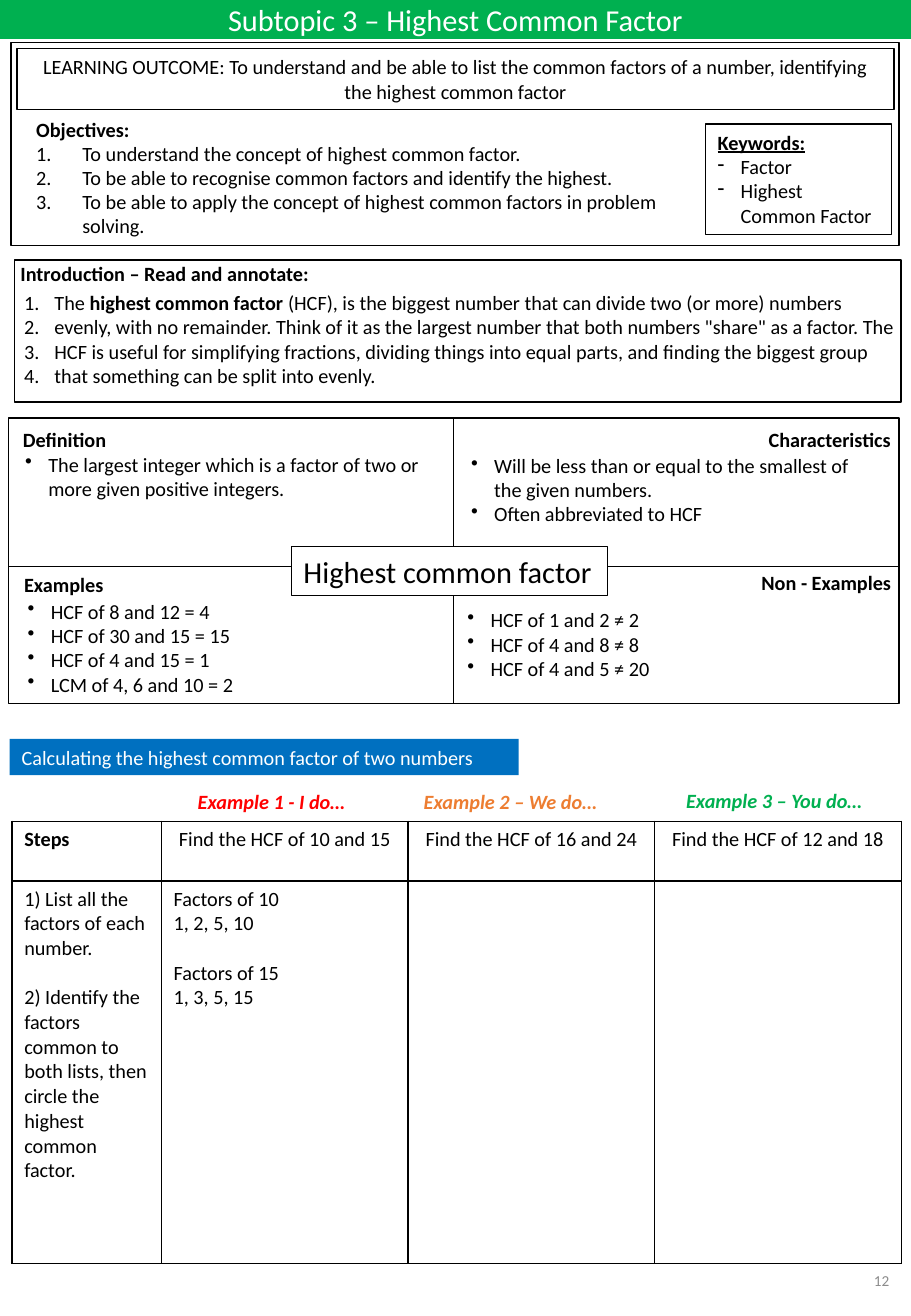
from lxml.etree import SubElement
from pptx import Presentation
from pptx.dml.color import RGBColor
from pptx.enum.shapes import MSO_CONNECTOR, MSO_SHAPE
from pptx.enum.text import MSO_ANCHOR, PP_ALIGN
from pptx.oxml.ns import qn
from pptx.util import Inches, Pt

BLACK = RGBColor(0, 0, 0)
WHITE = RGBColor(255, 255, 255)
GREEN = RGBColor(0, 176, 80)
BLUE = RGBColor(0, 112, 192)
RED = RGBColor(255, 0, 0)
ORANGE = RGBColor(237, 125, 49)
GREY = RGBColor(140, 140, 140)
LINE_HEIGHT = Pt(14.6)

deck = Presentation()
deck.slide_width, deck.slide_height = Inches(7.5), Inches(10.83)
page = deck.slides.add_slide(deck.slide_layouts[6])


def write(frame, lines, size=12, color=BLACK, bold=False, italic=False,
          align=PP_ALIGN.LEFT, bullet=None, indent=0.19):
    """Add one paragraph per line; bullet is a character, or "1." for numbers."""
    for line in lines:
        para = frame.add_paragraph() if frame.text else frame.paragraphs[0]
        para.alignment = align
        if bullet:
            props = para._p.get_or_add_pPr()
            props.set("marL", str(Inches(indent)))
            props.set("indent", str(-Inches(indent)))
            if bullet == "1.":
                SubElement(props, qn("a:buAutoNum"), type="arabicPeriod")
            else:
                SubElement(props, qn("a:buChar"), char=bullet)
        font = para.font
        font.name, font.size, font.bold, font.italic = "Calibri", Pt(size), bold, italic
        font.color.rgb = color
        # Text between asterisks is bold
        for number, part in enumerate(line.split("*")):
            span = para.add_run()
            span.text = part
            if number % 2:
                span.font.bold = True


def add_box(left, top, width, height, fill=None, line=None):
    """Add a rectangle with an optional fill colour and black outline width."""
    box = page.shapes.add_shape(MSO_SHAPE.RECTANGLE, Inches(left), Inches(top),
                                Inches(width), Inches(height))
    box.shadow.inherit = False
    if fill is None:
        box.fill.background()
    else:
        box.fill.solid()
        box.fill.fore_color.rgb = fill
    if line is None:
        box.line.fill.background()
    else:
        box.line.color.rgb = BLACK
        box.line.width = Pt(line)
    box.text_frame.word_wrap = True
    box.text_frame.vertical_anchor = MSO_ANCHOR.TOP
    return box


# Title bar
title = add_box(0, 0, 7.5, 0.32, fill=GREEN).text_frame
title.vertical_anchor = MSO_ANCHOR.MIDDLE
write(title, ["Subtopic 3 – Highest Common Factor"], 18, WHITE, align=PP_ALIGN.CENTER)

# Learning outcome and keywords
add_box(0.09, 0.35, 7.31, 1.67, line=1)
outcome = add_box(0.14, 0.4, 7.22, 0.5, line=0.75).text_frame
write(outcome, ["LEARNING OUTCOME: To understand and be able to list the common factors "
                "of a number, identifying the highest common factor"], align=PP_ALIGN.CENTER)
keywords = add_box(5.81, 1.02, 1.53, 0.91, line=1).text_frame
write(keywords, ["Keywords:"], bold=True)
keywords.paragraphs[0].font.underline = True
write(keywords, ["Factor", "Highest Common Factor"], bullet="-")

# Introduction frame
add_box(0.12, 2.14, 7.3, 1.17, line=1)

# Four-quadrant frame with its dividers and centre label
quadrants = add_box(0.07, 3.44, 7.33, 2.35, fill=WHITE, line=1)
across = page.shapes.add_connector(MSO_CONNECTOR.STRAIGHT, Inches(0.07), Inches(4.66),
                                   Inches(7.39), Inches(4.66))
down = page.shapes.add_connector(MSO_CONNECTOR.STRAIGHT, Inches(3.74), Inches(5.79),
                                 Inches(3.74), Inches(3.44))
down.begin_connect(quadrants, 2)
down.end_connect(quadrants, 0)
for divider in (across, down):
    divider.line.color.rgb = BLACK
    divider.line.width = Pt(0.5)
    SubElement(divider._element.spPr, qn("a:effectLst"))
label = add_box(2.4, 4.5, 2.6, 0.4, fill=WHITE, line=0.75).text_frame
label.word_wrap = False
write(label, ["Highest common factor"], 18)

# Headings: text, left, top, width, colour, italic
headings = [
    ("Objectives:", 0.2, 0.92, 1.53, BLACK, False),
    ("Introduction – Read and annotate:", 0.07, 2.1, 3.04, BLACK, False),
    ("Definition", 0.09, 3.47, 0.9, BLACK, False),
    ("Characteristics", 6.23, 3.47, 1.22, BLACK, False),
    ("Examples", 0.1, 4.66, 0.86, BLACK, False),
    ("Non - Examples", 6.17, 4.64, 1.28, BLACK, False),
    ("Example 1 - I do…", 1.53, 6.45, 1.54, RED, True),
    ("Example 2 – We do…", 3.39, 6.45, 1.8, ORANGE, True),
    ("Example 3 – You do…", 5.55, 6.44, 1.8, GREEN, True),
]
for text, left, top, width, color, italic in headings:
    box = page.shapes.add_textbox(Inches(left), Inches(top), Inches(width), Inches(0.3))
    box.text_frame.word_wrap = False
    write(box.text_frame, [text], color=color, bold=True, italic=italic)

# Lists: left, top, width, height, bullet, indent, lines
lists = [
    (0.2, 1.11, 5.37, 0.91, "1.", 0.38, [
        "To understand the concept of highest common factor.",
        "To be able to recognise common factors and identify the highest.",
        "To be able to apply the concept of highest common factors in problem solving."]),
    (0.1, 2.34, 7.4, 0.91, "1.", 0.25, [
        "The *highest common factor* (HCF), is the biggest number that can divide "
        "two (or more) numbers",
        "evenly, with no remainder. Think of it as the largest number that both "
        "numbers \"share\" as a factor. The",
        "HCF is useful for simplifying fractions, dividing things into equal parts, "
        "and finding the biggest group",
        "that something can be split into evenly."]),
    (0.11, 3.67, 3.53, 0.5, "•", 0.19, [
        "The largest integer which is a factor of two or more given positive integers."]),
    (3.78, 3.68, 3.53, 1.11, "•", 0.19, [
        "Will be less than or equal to the smallest of the given numbers.",
        "Often abbreviated to HCF"]),
    (0.13, 4.88, 3.53, 0.91, "•", 0.19, [
        "HCF of 8 and 12 = 4", "HCF of 30 and 15 = 15",
        "HCF of 4 and 15 = 1", "LCM of 4, 6 and 10 = 2"]),
    (3.75, 4.95, 3.53, 0.71, "•", 0.19, [
        "HCF of 1 and 2 ≠ 2", "HCF of 4 and 8 ≠ 8", "HCF of 4 and 5 ≠ 20"]),
]
for left, top, width, height, bullet, indent, lines in lists:
    box = page.shapes.add_textbox(Inches(left), Inches(top), Inches(width), Inches(height))
    box.text_frame.word_wrap = True
    write(box.text_frame, lines, bullet=bullet, indent=indent)

# Section bar
section = add_box(0.08, 6.08, 4.19, 0.3, fill=BLUE).text_frame
section.vertical_anchor = MSO_ANCHOR.MIDDLE
write(section, ["Calculating the highest common factor of two numbers"], color=WHITE)

# Worked examples table
rows = [
    [["Steps"]] + [[f"Find the HCF of {pair}"] for pair in ("10 and 15", "16 and 24", "12 and 18")],
    [["1) List all the factors of each number.",
      "2) Identify the factors common to both lists, then circle the highest common factor."],
     ["Factors of 10", "1, 2, 5, 10", "Factors of 15", "1, 3, 5, 15"], [], []],
]
table = page.shapes.add_table(2, 4, Inches(0.1), Inches(6.76), Inches(7.31), Inches(3.65)).table
table.first_row = table.horz_banding = False
for column, width in zip(table.columns, (1.23, 2.03, 2.03, 2.03)):
    column.width = Inches(width)
for row, height in zip(table.rows, (0.49, 3.15)):
    row.height = Inches(height)
for r, row in enumerate(rows):
    for c, lines in enumerate(row):
        cell = table.cell(r, c)
        props = cell._tc.get_or_add_tcPr()
        for side in ("lnL", "lnR", "lnT", "lnB"):
            border = SubElement(props, qn(f"a:{side}"), w=str(Pt(1)))
            SubElement(SubElement(border, qn("a:solidFill")), qn("a:srgbClr"), val=str(BLACK))
        cell.fill.solid()
        cell.fill.fore_color.rgb = WHITE
        centred = r == 0 and c > 0
        write(cell.text_frame, lines, bold=r == c == 0,
              align=PP_ALIGN.CENTER if centred else PP_ALIGN.LEFT)
table.cell(1, 0).text_frame.paragraphs[1].space_before = LINE_HEIGHT
table.cell(1, 1).text_frame.paragraphs[2].space_before = LINE_HEIGHT

# Page number
number_box = page.shapes.add_textbox(Inches(5.73), Inches(10.25), Inches(1.69), Inches(0.58))
number_box.text_frame.word_wrap = True
number_box.text_frame.vertical_anchor = MSO_ANCHOR.MIDDLE
write(number_box.text_frame, ["12"], 9, GREY, align=PP_ALIGN.RIGHT)

deck.save("out.pptx")
